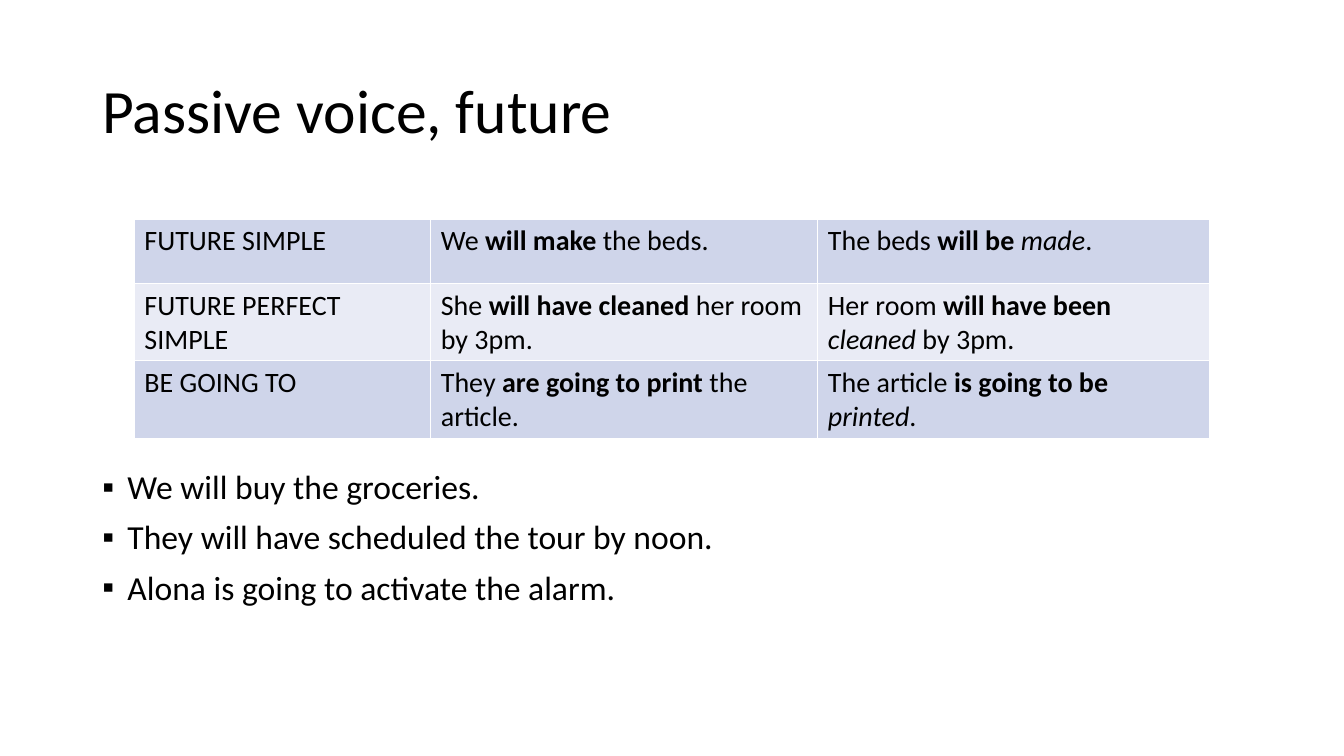
from dataclasses import dataclass
from lxml.etree import SubElement
from pptx import Presentation
from pptx.dml.color import RGBColor
from pptx.enum.text import MSO_ANCHOR
from pptx.oxml import parse_xml
from pptx.oxml.ns import nsdecls, qn
from pptx.util import Pt

# Content: each cell is a list of (text, style), b = bold, i = italic
TITLE = "Passive voice, future"
ROWS = [
    [[("FUTURE SIMPLE", "")],
     [("We ", ""), ("will make ", "b"), ("the beds.", "")],
     [("The beds ", ""), ("will be ", "b"), ("made", "i"), (".", "")]],
    [[("FUTURE PERFECT SIMPLE", "")],
     [("She ", ""), ("will have cleaned ", "b"), ("her room by 3pm.", "")],
     [("Her room ", ""), ("will have been ", "b"), ("cleaned", "i"),
      (" by 3pm.", "")]],
    [[("BE GOING TO", "")],
     [("They ", ""), ("are going to print ", "b"), ("the article.", "")],
     [("The article ", ""), ("is going to be ", "b"), ("printed", "i"),
      (".", "")]],
]
TASKS = [
    "We will buy the groceries.",
    "They will have scheduled the tour by noon.",
    "Alona is going to activate the alarm.",
]


@dataclass(frozen=True)
class Theme:
    font: str = "Calibri"
    ink: str = "000000"
    rule: str = "FFFFFF"
    bands: tuple = ("CFD5EA", "E9EBF5")
    title: int = 44
    body: int = 24
    cell: int = 20


THEME = Theme()

# Layout in points
LEFT, WIDE = 66, 828
TITLE_TOP, TITLE_HIGH = 28.8, 104.4
TASK_TOP, TASK_HIGH = 332.6, 154
GRID_LEFT, GRID_TOP, ROW_HIGH = 96, 156.4, 46.1
COLS = (211.7, 276.5, 280)
INDENT = 18


def style(run, size):
    run.font.name = THEME.font
    run.font.size = Pt(size)
    run.font.color.rgb = RGBColor.from_string(THEME.ink)


def add_text(slide, top, high, lines, size):
    box = slide.shapes.add_textbox(Pt(LEFT), Pt(top), Pt(WIDE), Pt(high))
    frame = box.text_frame
    frame.word_wrap = True
    frame.text = "\n".join(lines)
    for para in frame.paragraphs:
        para.line_spacing = 0.9
        for run in para.runs:
            style(run, size)
    return frame


def add_bullet(para):
    para.space_before = Pt(10)
    props = para._p.get_or_add_pPr()
    props.set("marL", str(Pt(INDENT)))
    props.set("indent", str(-Pt(INDENT)))
    SubElement(props, qn("a:buFont")).set("typeface", "Arial")
    SubElement(props, qn("a:buChar")).set("char", "▪")


def add_rules(cell):
    props = cell._tc.get_or_add_tcPr()
    for spot, side in enumerate(("lnL", "lnR", "lnT", "lnB")):
        props.insert(spot, parse_xml(
            f'<a:{side} {nsdecls("a")} w="{Pt(1)}"><a:solidFill>'
            f'<a:srgbClr val="{THEME.rule}"/></a:solidFill></a:{side}>'))


def fill_cell(cell, parts, color):
    cell.fill.solid()
    cell.fill.fore_color.rgb = RGBColor.from_string(color)
    add_rules(cell)
    para = cell.text_frame.paragraphs[0]
    for text, mark in parts:
        run = para.add_run()
        run.text = text
        style(run, THEME.cell)
        run.font.bold = mark == "b"
        run.font.italic = mark == "i"


def add_grid(slide):
    grid = slide.shapes.add_table(
        len(ROWS), len(COLS), Pt(GRID_LEFT), Pt(GRID_TOP),
        Pt(sum(COLS)), Pt(ROW_HIGH * len(ROWS))).table
    grid.first_row = grid.horz_banding = False
    for col, wide in zip(grid.columns, COLS):
        col.width = Pt(wide)
    for r, row in enumerate(ROWS):
        for c, parts in enumerate(row):
            fill_cell(grid.cell(r, c), parts, THEME.bands[r % 2])


def main():
    deck = Presentation()
    deck.slide_width, deck.slide_height = Pt(960), Pt(540)
    slide = deck.slides.add_slide(deck.slide_layouts[6])

    # Title
    head = add_text(slide, TITLE_TOP, TITLE_HIGH, [TITLE], THEME.title)
    head.vertical_anchor = MSO_ANCHOR.MIDDLE

    # Practice sentences
    tasks = add_text(slide, TASK_TOP, TASK_HIGH, TASKS, THEME.body)
    for para in tasks.paragraphs:
        add_bullet(para)

    # Tense table
    add_grid(slide)
    deck.save("out.pptx")


if __name__ == "__main__":
    main()
